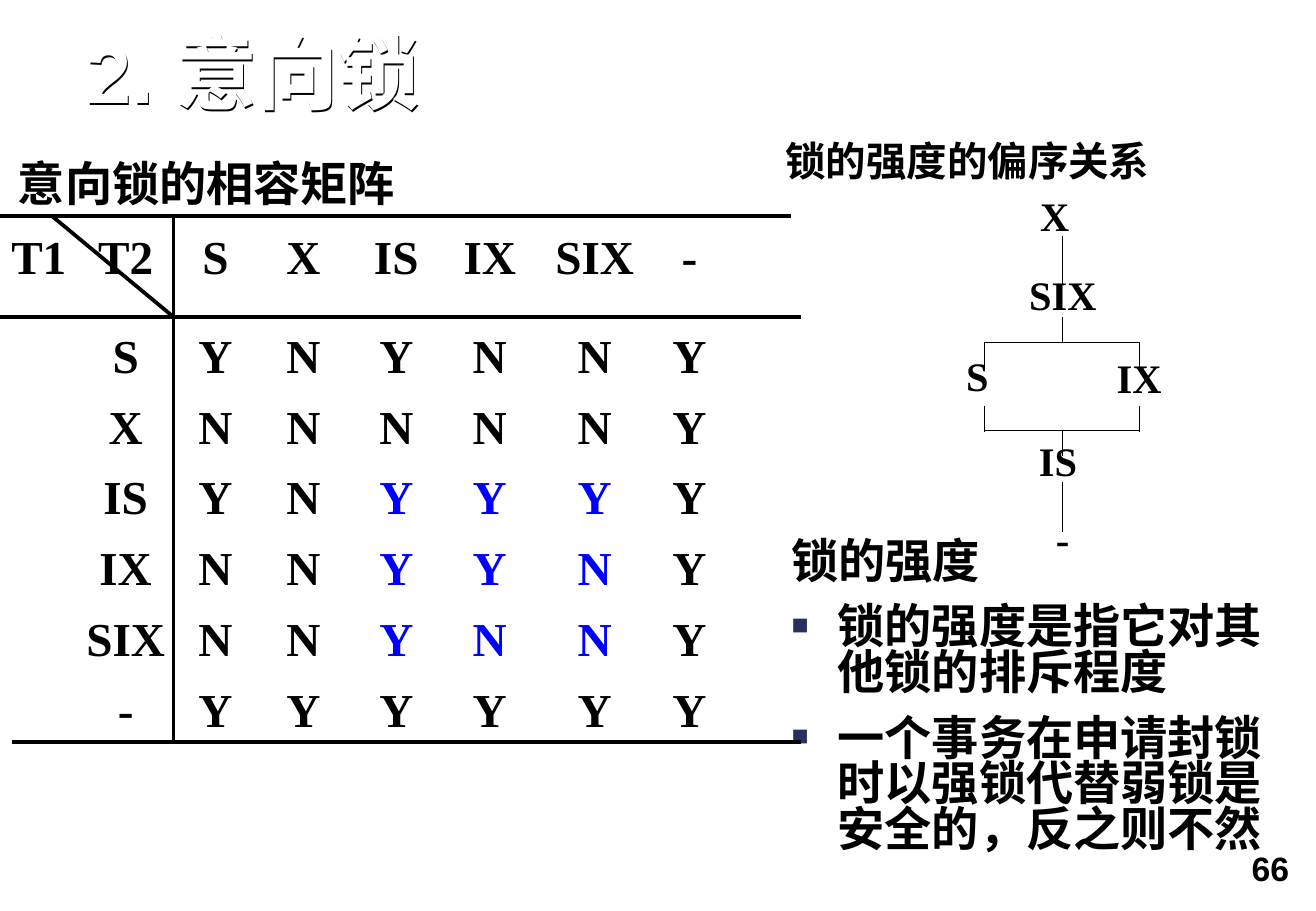
from itertools import accumulate

from lxml import etree
from pptx import Presentation, util as u
from pptx.dml.color import RGBColor
from pptx.enum import shapes, text
from pptx.oxml import ns

# Content
TITLE = "2. 意向锁"
MATRIX_CAPTION = "意向锁的相容矩阵"
MATRIX = [
    ("T1", "T2", "S", "X", "IS", "IX", "SIX", "-"),
    ("", "S", "Y", "N", "Y", "N", "N", "Y"),
    ("", "X", "N", "N", "N", "N", "N", "Y"),
    ("", "IS", "Y", "N", "Y", "Y", "Y", "Y"),
    ("", "IX", "N", "N", "Y", "Y", "N", "Y"),
    ("", "SIX", "N", "N", "Y", "N", "N", "Y"),
    ("", "-", "Y", "Y", "Y", "Y", "Y", "Y"),
]
INTENT_ROWS, INTENT_COLS = range(3, 6), range(4, 7)
ORDER_CAPTION = "锁的强度的偏序关系"
STRENGTH = [
    "锁的强度",
    "锁的强度是指它对其他锁的排斥程度",
    "一个事务在申请封锁时以强锁代替弱锁是安全的，反之则不然",
]
PAGE = "66"

COLORS = {"ink": "000000", "title": "FFFFFF", "intent": "0000FF", "bullet": "27305F"}
SERIF, SANS = "Times New Roman", "Arial"
LABEL_INSET = (0.1, 0.05)

# Matrix grid, in inches
COL_WIDTHS = [0.64, 0.79, 0.69, 0.76, 0.77, 0.77, 0.96, 0.6]
MATRIX_TOP, HEAD_BOTTOM, MATRIX_BOTTOM = 1.78, 2.61, 6.11
ROW_HEIGHT = (MATRIX_BOTTOM - HEAD_BOTTOM) / (len(MATRIX) - 1)
LABEL_RIGHT = list(accumulate(COL_WIDTHS))[1]
MATRIX_RULES = [
    (LABEL_RIGHT, MATRIX_TOP, LABEL_RIGHT, MATRIX_BOTTOM),
    (-0.07, HEAD_BOTTOM, 6.6, HEAD_BOTTOM),
    (-0.07, MATRIX_TOP, 6.52, MATRIX_TOP),
    (LABEL_RIGHT - 1, MATRIX_TOP, LABEL_RIGHT, HEAD_BOTTOM),
    (0.1, MATRIX_BOTTOM, 6.6, MATRIX_BOTTOM),
]

# Lattice of lock strengths: label boxes and the lines between them
LEFT, MIDDLE, RIGHT = 8.11, 8.75, 9.39
FORK, JOIN, STUB = 2.82, 3.54, 0.22
LATTICE_LABELS = [
    ("X", 8.47, 1.55), ("SIX", 8.38, 2.2), ("S", 7.86, 2.87),
    ("IX", 9.1, 2.88), ("IS", 8.46, 3.57), ("-", 8.6, 4.21),
]
LATTICE_LINES = [(LEFT, y, RIGHT, y) for y in (FORK, JOIN)]
LATTICE_LINES += [(x, y, x, y + STUB) for x in (LEFT, RIGHT) for y in (FORK, JOIN - 0.2)]
LATTICE_LINES += [
    (MIDDLE, top, MIDDLE, bottom)
    for top, bottom in ((1.94, 2.35), (2.61, FORK), (JOIN, 3.75), (3.97, 4.38))
]


def style(paragraph, size, face, color="ink", spacing=None, before=0):
    font = paragraph.font
    font.size, font.name, font.bold = u.Pt(size), face, True
    font.color.rgb = RGBColor.from_string(COLORS[color])
    paragraph.space_before = u.Pt(before)
    if spacing:
        paragraph.line_spacing = spacing


def place(shape, left, top, width, height, inset=(0, 0)):
    shape.left, shape.top = u.Inches(left), u.Inches(top)
    shape.width, shape.height = u.Inches(width), u.Inches(height)
    frame = shape.text_frame
    frame.word_wrap, frame.auto_size = True, text.MSO_AUTO_SIZE.NONE
    frame.margin_left = frame.margin_right = u.Inches(inset[0])
    frame.margin_top = frame.margin_bottom = u.Inches(inset[1])
    return frame


def add_label(slide, words, box, size, face, spacing=None, inset=LABEL_INSET):
    frame = place(slide.shapes.add_textbox(0, 0, 0, 0), *box, inset)
    frame.text = words
    style(frame.paragraphs[0], size, face, spacing=spacing)
    return frame.paragraphs[0]


def add_rules(slide, rules, width):
    for ends in rules:
        rule = slide.shapes.add_connector(
            shapes.MSO_CONNECTOR.STRAIGHT, *(u.Inches(end) for end in ends))
        rule.line.width = u.Pt(width)
        rule.line.color.rgb = RGBColor.from_string(COLORS["ink"])
        etree.SubElement(rule._element.spPr, ns.qn("a:effectLst"))


def add_title(slide):
    title = slide.shapes.title
    frame = place(title, 0.71, 0.28, 9.65, 0.72)
    frame.vertical_anchor = text.MSO_ANCHOR.BOTTOM
    frame.text = TITLE
    heading = frame.paragraphs[0]
    heading.alignment = text.PP_ALIGN.LEFT
    style(heading, 48, SANS, "title", 0.9)
    # Black shadow that makes the white letters visible
    title.fill.background()
    effects = etree.SubElement(title._element.spPr, ns.qn("a:effectLst"))
    shadow = etree.SubElement(effects, ns.qn("a:outerShdw"), dist="17961", dir="2700000")
    etree.SubElement(shadow, ns.qn("a:srgbClr"), val=COLORS["ink"])


def add_matrix(slide):
    add_label(slide, MATRIX_CAPTION, (0.05, 1.27, 6, 0.5), 28, SERIF, 0.9)
    table = slide.shapes.add_table(
        len(MATRIX), len(COL_WIDTHS), 0, u.Inches(MATRIX_TOP),
        u.Inches(sum(COL_WIDTHS)), u.Inches(MATRIX_BOTTOM - MATRIX_TOP)).table
    table.first_row = table.horz_banding = False
    for column, width in zip(table.columns, COL_WIDTHS):
        column.width = u.Inches(width)
    for r, locks in enumerate(MATRIX):
        table.rows[r].height = u.Inches(ROW_HEIGHT if r else HEAD_BOTTOM - MATRIX_TOP)
        for c, lock in enumerate(locks):
            cell = table.cell(r, c)
            cell.fill.background()
            cell.margin_left = cell.margin_right = 0
            cell.margin_top = u.Inches(0.08 if r else 0)
            cell.margin_bottom = u.Inches(0 if r else 0.14)
            cell.vertical_anchor = text.MSO_ANCHOR.MIDDLE
            cell.text = lock
            entry = cell.text_frame.paragraphs[0]
            entry.alignment = text.PP_ALIGN.CENTER
            intent = r in INTENT_ROWS and c in INTENT_COLS
            style(entry, 28, SERIF, "intent" if intent else "ink")
    add_rules(slide, MATRIX_RULES, 2.25)


def add_lattice(slide):
    add_label(slide, ORDER_CAPTION, (6.37, 1.07, 3.47, 0.5), 24, SANS)
    add_rules(slide, LATTICE_LINES, 0.5)
    for lock, left, top in LATTICE_LABELS:
        add_label(slide, lock, (left, top, 0.9, 0.5), 24, SERIF, 0.96)


def add_strength(slide):
    frame = place(slide.placeholders[1], 6.52, 4.46, 4.25, 2.58)
    frame.text = "\n".join(STRENGTH)
    for i, point in enumerate(frame.paragraphs):
        props = point._p.get_or_add_pPr()
        if i:
            props.set("marL", str(u.Inches(0.38)))
            props.set("indent", str(-u.Inches(0.38)))
            color = etree.SubElement(props, ns.qn("a:buClr"))
            etree.SubElement(color, ns.qn("a:srgbClr"), val=COLORS["bullet"])
            etree.SubElement(props, ns.qn("a:buSzPct"), val="60000")
            etree.SubElement(props, ns.qn("a:buChar"), char="■")
        else:
            props.set("marL", "0")
            props.set("indent", "0")
            etree.SubElement(props, ns.qn("a:buNone"))
        style(point, 28, SERIF, spacing=0.8, before=12.2 if i else 0)


def main():
    deck = Presentation()
    deck.slide_width, deck.slide_height = u.Inches(10.84), u.Inches(7.5)
    slide = deck.slides.add_slide(deck.slide_layouts[1])
    add_title(slide)
    add_matrix(slide)
    add_strength(slide)
    add_lattice(slide)
    page = add_label(slide, PAGE, (8.01, 6.92, 2.74, 0.58), 20, SANS, inset=(0.13, 0.06))
    page.alignment = text.PP_ALIGN.RIGHT
    deck.save("out.pptx")


if __name__ == "__main__":
    main()
